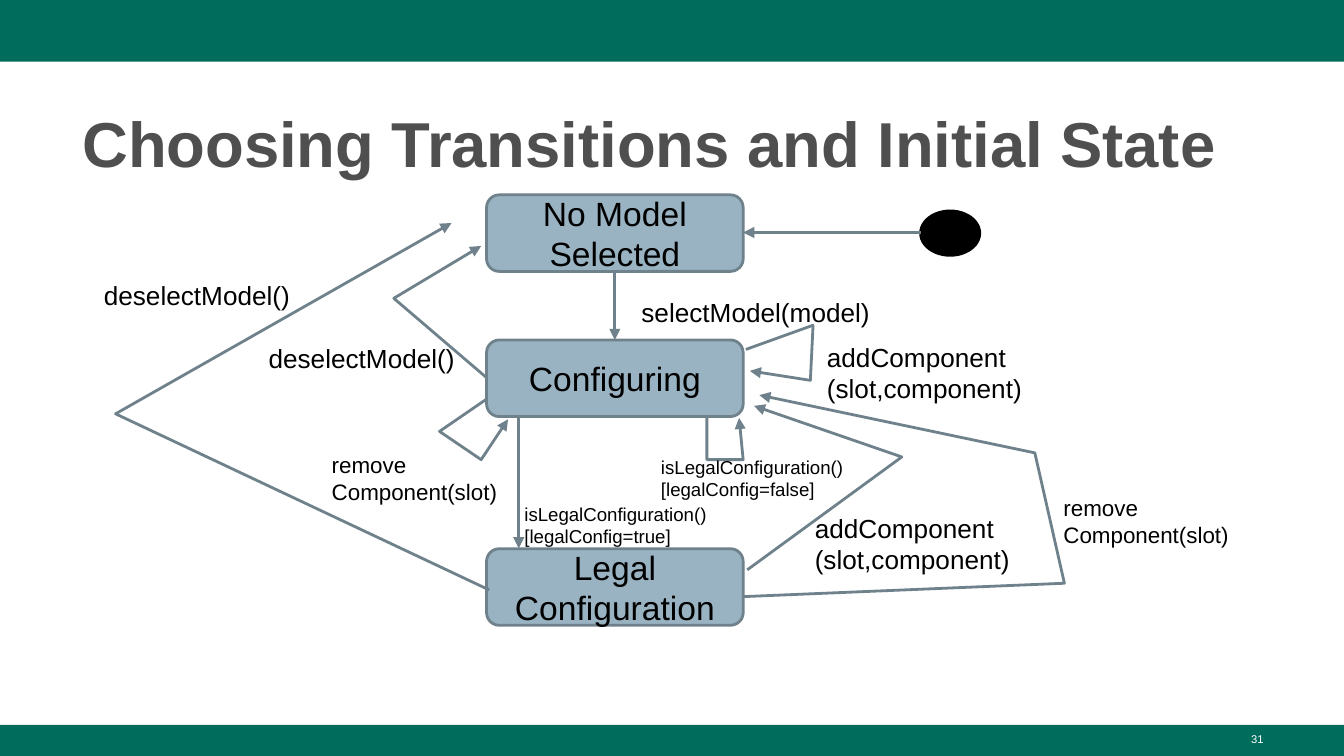
from dataclasses import dataclass
from lxml.etree import SubElement
from pptx import Presentation
from pptx.dml.color import RGBColor
from pptx.enum.shapes import MSO_CONNECTOR, MSO_SHAPE
from pptx.enum.text import MSO_ANCHOR, PP_ALIGN
from pptx.oxml.ns import qn
from pptx.util import Inches, Pt

# Grid: 100 columns by 56.25 rows of square cells
CELL = Inches(0.1)
COLS, ROWS = 100, 56.25
HUES = {"band": "006C5C", "title": "4F4F4F", "state": "99B3C2",
        "edge": "6F828C", "ink": "000000", "page": "FFFFFF"}
STATE_X, STATE_W, STATE_H = 36.2, 19.1, 5.7
MID = STATE_X + STATE_W / 2


@dataclass
class Box:
    x: float
    y: float
    w: float
    h: float


@dataclass
class State:
    name: str
    y: float


@dataclass
class Label:
    text: str
    box: Box
    size: int = 14
    hue: str = "ink"
    bold: bool = False
    align: PP_ALIGN = PP_ALIGN.LEFT
    anchor: MSO_ANCHOR = MSO_ANCHOR.TOP
    pad: float = 1
    space: float = 1


STATES = [State("No Model Selected", 14.5), State("Configuring", 25.3),
          State("Legal Configuration", 40.83)]

# Each transition runs through its points and ends in an arrowhead
PATHS = [
    [(68.5, 17.3), (STATE_X + STATE_W, 17.3)],
    [(MID, 20.2), (MID, 25.3)],
    [(38.6, 31), (38.6, 40.8)],
    [(55.2, 44.4), (79.2, 43.4), (77, 33.7), (56.5, 29.4)],
    [(36.2, 28.1), (29.3, 22.2), (35.8, 18.3)],
    [(36.4, 43.9), (8.6, 30.8), (33.6, 16.6)],
    [(55.5, 26), (60.5, 24.2), (60.3, 28.3), (55.8, 27.6)],
    [(55.6, 42.4), (67.1, 34), (56.1, 30.2)],
    [(36.2, 29.7), (32.7, 32.1), (35.8, 34.2), (37.8, 31.2)],
    [(52.6, 31), (52.6, 34.2), (55.3, 34.2), (55, 31.1)],
]

DROP, ADD, CUT = ("deselectModel()", "addComponent\n(slot,component)",
                  "remove\nComponent(slot)")
TEST = "isLegalConfiguration() [legalConfig={}]"
LABELS = [
    Label("Choosing Transitions and Initial State", Box(5.14, 6.6, 89.9, 7.3),
          34, "title", True, anchor=MSO_ANCHOR.BOTTOM, pad=0.5, space=1.08),
    Label("selectModel(model)", Box(46.74, 21.04, 19.6, 2.2)),
    Label(DROP, Box(19, 24.5, 19.6, 2.2)),
    Label(DROP, Box(6.74, 19.8, 19.6, 2.2)),
    Label(ADD, Box(60.54, 24.4, 17.2, 2.2)),
    Label(ADD, Box(59.64, 37.1, 17.2, 2.2)),
    Label(CUT, Box(23.7, 32.6, 18, 2.2), 12),
    Label(CUT, Box(78.14, 35.8, 18, 2.2), 12),
    Label(TEST.format("true"), Box(38.04, 36.4, 16, 2.2), 10),
    Label(TEST.format("false"), Box(48.2, 32.9, 19.6, 2.2), 10),
    Label("31", Box(71.7, 54, 23.3, 2.25), 6, "page",
          align=PP_ALIGN.RIGHT, pad=0.5),
]


def cells(*nums: float) -> list[int]:
    return [round(n * CELL) for n in nums]


def place(box: Box) -> list[int]:
    return cells(box.x, box.y, box.w, box.h)


def tint(hue: str) -> RGBColor:
    return RGBColor.from_string(HUES[hue])


def assign(item, form: dict) -> None:
    for key, val in form.items():
        setattr(item, key, val)


def write(frame, label: Label) -> None:
    pad = round(label.pad * CELL)
    assign(frame, {"word_wrap": True, "vertical_anchor": label.anchor,
                   "margin_top": pad, "margin_bottom": pad,
                   "margin_left": CELL, "margin_right": CELL})
    para = frame.paragraphs[0]
    para.text = label.text
    assign(para, {"alignment": label.align, "line_spacing": label.space})
    for run in para.runs:
        assign(run.font, {"name": "Arial", "size": Pt(label.size),
                          "bold": label.bold})
        run.font.color.rgb = tint(label.hue)


def stroke(line, hue: str) -> None:
    line.color.rgb = tint(hue)
    line.width = Pt(1.5)


def draw_shape(slide, kind: MSO_SHAPE, box: Box, fill: str, edge: str = ""):
    shape = slide.shapes.add_shape(kind, *place(box))
    shape.shadow.inherit = False
    shape.fill.solid()
    shape.fill.fore_color.rgb = tint(fill)
    if edge:
        stroke(shape.line, edge)
    else:
        shape.line.fill.background()
    return shape


def draw_state(slide, state: State) -> None:
    box = Box(STATE_X, state.y, STATE_W, STATE_H)
    shape = draw_shape(slide, MSO_SHAPE.ROUNDED_RECTANGLE, box, "state", "edge")
    write(shape.text_frame, Label(state.name, box, 18, align=PP_ALIGN.CENTER,
                                  anchor=MSO_ANCHOR.MIDDLE))


def draw_path(slide, dots: list[tuple[float, float]]) -> None:
    first, *rest = [cells(*dot) for dot in dots]
    if len(rest) == 1:
        item = slide.shapes.add_connector(MSO_CONNECTOR.STRAIGHT,
                                          *first, *rest[0])
        stroke(item.line, "edge")
        SubElement(item.element.spPr, qn("a:effectLst"))
    else:
        pen = slide.shapes.build_freeform(*first)
        pen.add_line_segments(rest, close=False)
        item = pen.convert_to_shape()
        item.shadow.inherit = False
        item.fill.background()
        stroke(item.line, "edge")
    SubElement(item.element.spPr.get_or_add_ln(), qn("a:tailEnd"),
               type="triangle")


def draw_label(slide, label: Label) -> None:
    write(slide.shapes.add_textbox(*place(label.box)).text_frame, label)


def main() -> None:
    deck = Presentation()
    assign(deck, {"slide_width": round(COLS * CELL),
                  "slide_height": round(ROWS * CELL)})
    slide = deck.slides.add_slide(deck.slide_layouts[6])

    # Bands at top and foot
    for y, h in ((0, 4.6), (53.93, 2.32)):
        draw_shape(slide, MSO_SHAPE.RECTANGLE, Box(0, y, COLS, h), "band")

    # States and the initial mark
    for state in STATES:
        draw_state(slide, state)
    draw_shape(slide, MSO_SHAPE.OVAL, Box(68.5, 15.7, 4.4, 3.3), "ink", "ink")

    # Transitions, then all the text
    for dots in PATHS:
        draw_path(slide, dots)
    for label in LABELS:
        draw_label(slide, label)

    deck.save("out.pptx")


if __name__ == "__main__":
    main()
